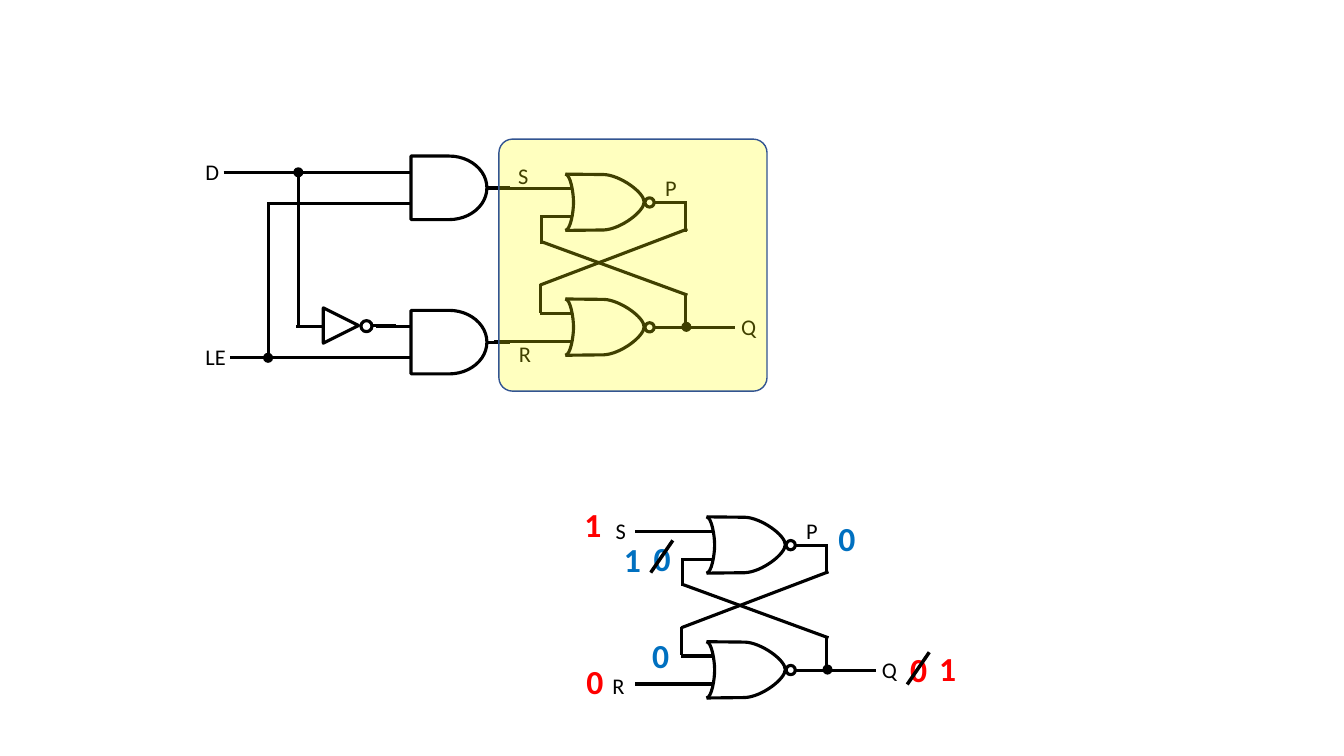
import pptx
import pptx.util
import pptx.dml.color
import pptx.enum.shapes
import pptx.enum.text
import pptx.oxml
import pptx.oxml.ns
from pptx.util import Pt

COLORS = {"black": "000000", "red": "FF0000", "blue": "0070C0",
          "yellow": "FFFF00", "border": "325491"}
SHAPES = pptx.enum.shapes.MSO_SHAPE
GATE_PITCH = 89.2

# NOR outline, relative to the left end of its long input and the top of its body.
# After the start, each segment is one line end, or two controls and a curve end.
NOR_BODY = [[(51.1, 0)], [(78.5, 0.3)],
            [(90, 0.7), (107.3, 13), (107.3, 19.9)],
            [(107.3, 26.6), (90.7, 39.3), (78.5, 39.9)],
            [(51.1, 40.2)]]
NOR_BACK = [[(51, 40.2)],
            [(54.7, 40.2), (56.9, 27), (56.9, 20.2)],
            [(56.9, 13.3), (54.7, 0), (51, 0)]]

# Cross-coupled feedback wires, relative to the latch corner
FEEDBACK = [(33.8, 29.5, 33.8, 49.7), (33.8, 48.2, 138.2, 86.4),
            (136.9, 107.3, 136.9, 85.7), (136.9, 41, 136.9, 19.4),
            (33.1, 79.2, 138.2, 39.2), (33.4, 78.5, 33.4, 98.9)]


class Circuit:
    def __init__(self, slide):
        self.slide = slide
        self.font = "Calibri"
        self.width = 2.25

    def color(self, name):
        return pptx.dml.color.RGBColor.from_string(COLORS[name])

    def wire(self, x1, y1, x2, y2, width=None):
        connector = self.slide.shapes.add_connector(
            pptx.enum.shapes.MSO_CONNECTOR.STRAIGHT, Pt(x1), Pt(y1), Pt(x2), Pt(y2))
        connector.line.color.rgb = self.color("black")
        connector.line.width = Pt(width or self.width)
        properties = connector._element.spPr
        properties.append(pptx.oxml.parse_xml(
            f"<a:effectLst {pptx.oxml.ns.nsdecls('a')}/>"))

    def outline(self, shape):
        shape.shadow.inherit = False
        shape.fill.background()
        shape.line.color.rgb = self.color("black")
        shape.line.width = Pt(self.width)

    def symbol(self, kind, x, y, width, height, rotation=0):
        shape = self.slide.shapes.add_shape(kind, Pt(x), Pt(y), Pt(width), Pt(height))
        shape.rotation = rotation
        self.outline(shape)

    def dot(self, x, y, size=7.2):
        shape = self.slide.shapes.add_shape(
            SHAPES.OVAL, Pt(x - size / 2), Pt(y - size / 2), Pt(size), Pt(size))
        shape.shadow.inherit = False
        shape.fill.solid()
        shape.fill.fore_color.rgb = self.color("black")
        shape.line.fill.background()

    def curve(self, segments, x, y):
        ends = [(Pt(x + px), Pt(y + py)) for px, py in (s[-1] for s in segments)]
        builder = self.slide.shapes.build_freeform(*ends[0])
        builder.add_line_segments(ends[1:], close=False)
        shape = builder.convert_to_shape()
        lines = list(shape._element.iter(pptx.oxml.ns.qn("a:lnTo")))
        for line, segment in zip(lines, segments[1:]):
            if len(segment) == 3:
                points = "".join(
                    f'<a:pt x="{Pt(x + px) - shape.left}" y="{Pt(y + py) - shape.top}"/>'
                    for px, py in segment)
                line.getparent().replace(line, pptx.oxml.parse_xml(
                    f"<a:cubicBezTo {pptx.oxml.ns.nsdecls('a')}>{points}</a:cubicBezTo>"))
        self.outline(shape)

    def label(self, text, x, y, width, size=16, color="black", bold=False):
        height = 36 if size == 24 else 26.6
        box = self.slide.shapes.add_textbox(Pt(x), Pt(y), Pt(width), Pt(height))
        frame = box.text_frame
        frame.text = text
        frame.word_wrap = False
        frame.auto_size = pptx.enum.text.MSO_AUTO_SIZE.SHAPE_TO_FIT_TEXT
        font = frame.paragraphs[0].runs[0].font
        font.name, font.size, font.bold = self.font, Pt(size), bold
        font.color.rgb = self.color(color)

    def nor_gate(self, x, y, long_input, short_input, output_end):
        self.wire(x, y + long_input, x + 56.2, y + long_input)
        self.wire(x + 33.1, y + short_input, x + 56.2, y + short_input)
        self.curve(NOR_BODY, x, y)
        self.curve(NOR_BACK, x, y)
        self.wire(x + 114.5, y + 20.3, x + output_end, y + 20.3)
        self.symbol(SHAPES.OVAL, x + 107.9, y + 16.9, 6.6, 6.6)

    def latch(self, x, y):
        self.nor_gate(x, y, 10.2, 30.2, 138)
        self.nor_gate(x, y + GATE_PITCH, 30.2, 10.2, 172)
        self.dot(x + 137.5, y + 109.1)
        for x1, y1, x2, y2 in FEEDBACK:
            self.wire(x + x1, y + y1, x + x2, y + y2)

    def and_gate(self, y, upper_start, lower_start):
        x = 293.6
        self.wire(upper_start, y + 11.7, x, y + 11.7)
        self.wire(lower_start, y + 33.6, x, y + 33.6)
        self.wire(x + 54.7, y + 22.8, x + 71, y + 22.8)
        self.symbol(SHAPES.FLOWCHART_DELAY, x, y, 54.2, 45.4)

    def inverter(self, x, y):
        self.wire(x, y, x + 18, y)
        self.wire(x + 54, y - 0.5, x + 71, y - 0.5)
        self.symbol(SHAPES.OVAL, x + 46.1, y - 4.3, 7.9, 7.9)
        self.symbol(SHAPES.ISOSCELES_TRIANGLE, x + 19.2, y - 13.4, 25.2, 25.2, 90)

    def highlight(self, x, y, width, height):
        shape = self.slide.shapes.add_shape(
            SHAPES.ROUNDED_RECTANGLE, Pt(x), Pt(y), Pt(width), Pt(height))
        shape.adjustments[0] = 0.054
        shape.shadow.inherit = False
        shape.fill.solid()
        shape.fill.fore_color.rgb = self.color("yellow")
        fill_color = shape._element.spPr.find(".//" + pptx.oxml.ns.qn("a:srgbClr"))
        fill_color.append(pptx.oxml.parse_xml(
            f"<a:alpha {pptx.oxml.ns.nsdecls('a')} val='25000'/>"))
        shape.line.color.rgb = self.color("border")
        shape.line.width = Pt(1)


def main():
    presentation = pptx.Presentation()
    presentation.slide_width, presentation.slide_height = Pt(960), Pt(540)
    slide = presentation.slides.add_slide(presentation.slide_layouts[6])
    circuit = Circuit(slide)

    # Latch inside the gated D latch
    circuit.latch(352.8, 124.4)
    for text, x, y, width in [("S", 363, 112.3, 22.3), ("R", 363.6, 239.5, 23),
                              ("Q", 522.3, 220.3, 25.2), ("P", 468, 121, 23)]:
        circuit.label(text, x, y, width)

    # Input gating with D and latch enable
    circuit.and_gate(111.5, 159.8, 190.8)
    circuit.and_gate(221.7, 268.6, 164.2)
    circuit.inverter(211.7, 233.3)
    circuit.wire(213.1, 233.3, 213.1, 123.1)
    circuit.dot(213.1, 123.1)
    circuit.wire(191.5, 255.4, 191.5, 145)
    circuit.dot(191.5, 255.6)
    circuit.label("D", 139.7, 109.4, 24.5)
    circuit.label("LE", 139.7, 241.9, 29.5)
    circuit.highlight(356.4, 99.4, 191.5, 180)

    # Standalone latch
    circuit.latch(453.6, 369.2)
    for text, x, y, width in [("S", 432.7, 366.2, 22.3), ("R", 430.4, 476.6, 23),
                              ("Q", 622.8, 465.1, 25.2), ("P", 568.8, 365.8, 23)]:
        circuit.label(text, x, y, width)

    # Logic values and struck-out old values
    for text, x, y, color in [
            ("0", 411.8, 468.7, "red"), ("1", 410.4, 356.4, "red"),
            ("0", 643, 460.1, "red"), ("0", 459.9, 380.9, "blue"),
            ("0", 591.8, 366.1, "blue"), ("0", 458.8, 450, "blue"),
            ("1", 438.5, 381.6, "blue"), ("1", 663.8, 459.4, "red")]:
        circuit.label(text, x, y, 26.6, 24, color, True)
    for x, y in [(648, 488.9), (464.8, 409)]:
        circuit.wire(x, y, x + 15.8, y - 23, 2.5)

    presentation.save("out.pptx")


if __name__ == "__main__":
    main()
